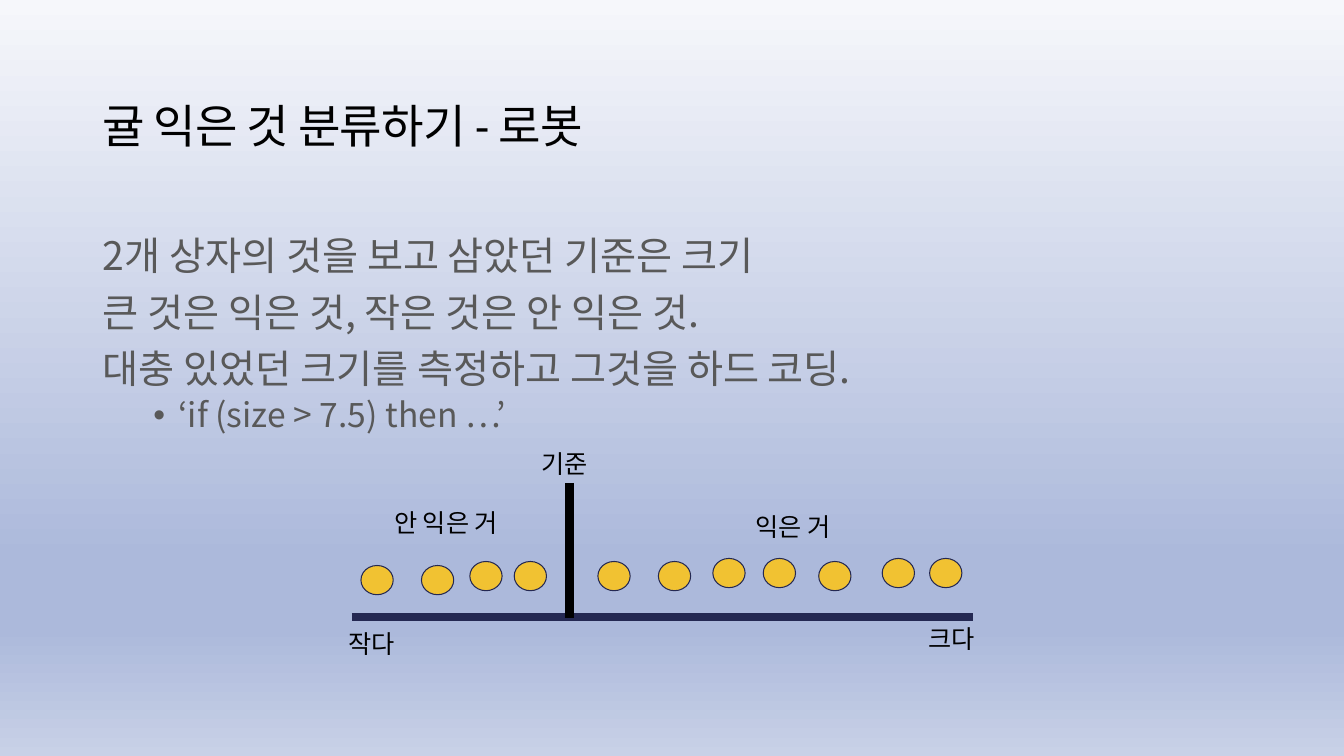
from lxml import etree
from pptx import Presentation
from pptx import util as u
from pptx.dml.color import RGBColor
from pptx.enum import shapes, text
from pptx.oxml.ns import qn

COLORS = {"ink": "000000", "body": "595959", "navy": "242852", "fruit": "F1C232"}
SKY = [(0, "F6F7FB"), (74, "ACB9DB"), (83, "ACB9DB"), (100, "C8D1E7")]
LATIN, KOREAN = "Calibri", "Noto Sans CJK KR"

POINTS = [
    ("2개 상자의 것을 보고 삼았던 기준은 크기", 0),
    ("큰 것은 익은 것, 작은 것은 안 익은 것.", 0),
    ("대충 있었던 크기를 측정하고 그것을 하드 코딩.", 0),
    ("‘if (size > 7.5) then …’", 1),
]
FRUITS = [
    (3.58, 5.61), (4.18, 5.61), (4.66, 5.57), (5.1, 5.57), (5.93, 5.57), (6.53, 5.57),
    (7.07, 5.54), (7.57, 5.54), (8.12, 5.57), (8.75, 5.54), (9.22, 5.54),
]
LABELS = [
    ("크다", 9.11, 6.08, 0.82), ("작다", 3.36, 6.13, 0.82), ("기준", 5.27, 4.35, 0.82),
    ("익은 거", 7.39, 4.97, 1.18), ("안 익은 거", 3.81, 4.93, 1.45),
]


def rgb(name):
    return RGBColor.from_string(COLORS[name])


def write(par, words, size=18, font=LATIN, color="ink", track=None):
    """Add a run to a paragraph; track is letter spacing in points."""
    run = par.add_run()
    run.text = words
    run.font.size = u.Pt(size)
    run.font.name = font
    run.font.color.rgb = rgb(color)
    props = run.font._element
    etree.SubElement(props, qn("a:ea")).set("typeface", KOREAN)
    if track is not None:
        props.set("spc", str(round(track * 100)))


def bullet(par, left, hang, mark=None):
    """Set the indent in inches and the bullet sign, or none."""
    props = par._p.get_or_add_pPr()
    props.set("marL", str(u.Inches(left)))
    props.set("indent", str(u.Inches(hang)))
    if mark:
        etree.SubElement(props, qn("a:buFont")).set("typeface", "Arial")
        etree.SubElement(props, qn("a:buChar")).set("char", mark)
    else:
        etree.SubElement(props, qn("a:buNone"))


class Deck:
    def __init__(self):
        self.prs = Presentation()
        self.prs.slide_width = u.Inches(13.33)
        self.prs.slide_height = u.Inches(7.5)
        self.slide = self.prs.slides.add_slide(self.prs.slide_layouts[1])
        self.shapes = self.slide.shapes

    def backdrop(self, stops):
        fill = self.slide.background.fill
        fill.gradient()
        fill.gradient_angle = 270
        grad = self.slide.background._cSld.find(".//" + qn("a:gradFill"))
        items = grad.find(qn("a:gsLst"))
        for old in list(items):
            items.remove(old)
        for pos, color in stops:
            stop = etree.SubElement(items, qn("a:gs"), pos=str(pos * 1000))
            etree.SubElement(stop, qn("a:srgbClr"), val=color)

    def place(self, holder, left, top, width, height, anchor):
        holder.left, holder.top = u.Inches(left), u.Inches(top)
        holder.width, holder.height = u.Inches(width), u.Inches(height)
        frame = holder.text_frame
        frame.word_wrap = True
        frame.auto_size = text.MSO_AUTO_SIZE.NONE
        frame.vertical_anchor = anchor
        return frame

    def title(self, words):
        frame = self.place(self.shapes.title, 0.92, 0.92, 11.5, 0.71, text.MSO_ANCHOR.MIDDLE)
        par = frame.paragraphs[0]
        par.alignment = text.PP_ALIGN.LEFT
        par.line_spacing = 0.9
        write(par, words, size=33, track=-0.6)

    def body(self, points):
        holder = self.slide.placeholders[1]
        frame = self.place(holder, 0.92, 2.3, 11.5, 4.76, text.MSO_ANCHOR.TOP)
        for i, (words, level) in enumerate(points):
            par = frame.add_paragraph() if i else frame.paragraphs[0]
            par.level = level
            par.line_spacing = 0.9
            par.space_before = u.Pt((5 if level else 10) if i else 0)
            if level:
                bullet(par, 0.75, -0.25, "•")
            else:
                bullet(par, 0, 0)
            write(par, words, size=24 if level else 28, font=KOREAN, color="body")

    def label(self, words, left, top, width):
        box = self.shapes.add_textbox(0, 0, 0, 0)
        frame = self.place(box, left, top, width, 0.39, text.MSO_ANCHOR.TOP)
        frame.margin_left = frame.margin_right = u.Inches(0.1)
        frame.margin_top = frame.margin_bottom = u.Inches(0.1)
        write(frame.paragraphs[0], words)

    def line(self, start, end, color):
        ends = [u.Inches(v) for v in (*start, *end)]
        line = self.shapes.add_connector(shapes.MSO_CONNECTOR.STRAIGHT, *ends)
        line.line.color.rgb = rgb(color)
        line.line.width = u.Pt(6)
        etree.SubElement(line._element.spPr, qn("a:effectLst"))

    def fruit(self, left, top):
        kind = shapes.MSO_SHAPE.FLOWCHART_CONNECTOR
        dot = self.shapes.add_shape(kind, *[u.Inches(v) for v in (left, top, 0.32, 0.29)])
        dot.shadow.inherit = False
        dot.fill.solid()
        dot.fill.fore_color.rgb = rgb("fruit")
        dot.line.color.rgb = rgb("navy")
        dot.line.width = u.Pt(0.75)


def main():
    deck = Deck()
    deck.backdrop(SKY)
    deck.title("귤 익은 것 분류하기 - 로봇")
    deck.body(POINTS)
    deck.line((3.49, 6.12), (9.65, 6.12), "navy")
    for spot in FRUITS:
        deck.fruit(*spot)
    deck.line((5.65, 4.79), (5.65, 6.13), "ink")
    for item in LABELS:
        deck.label(*item)
    deck.prs.save("out.pptx")


if __name__ == "__main__":
    main()
